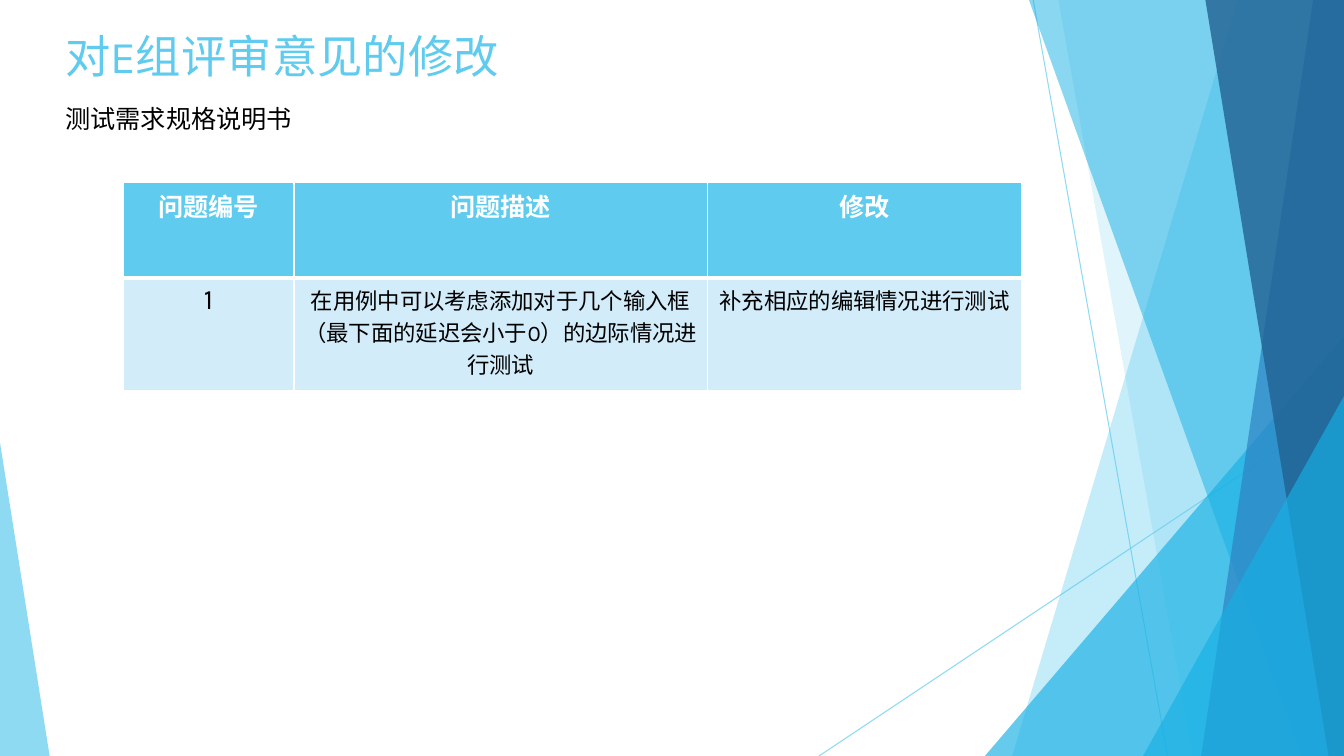
from collections import namedtuple

from lxml import etree
from pptx import Presentation
from pptx.dml.color import RGBColor
from pptx.enum.shapes import MSO_CONNECTOR, MSO_SHAPE
from pptx.enum.text import MSO_ANCHOR, PP_ALIGN
from pptx.oxml.ns import qn
from pptx.util import Pt

STRAIGHT = MSO_CONNECTOR.STRAIGHT
TRIANGLE = MSO_SHAPE.ISOSCELES_TRIANGLE
MIDDLE, TOP = MSO_ANCHOR.MIDDLE, MSO_ANCHOR.TOP
CENTER = PP_ALIGN.CENTER

FONT = "Karla"
COLORS = {
    "sky": "5FCBEF", "cyan": "17B0E4", "blue": "2E83C3", "navy": "226292",
    "pale": "D2ECF9", "white": "FFFFFF", "black": "000000",
}
Box = namedtuple("Box", "left top width height")


def rgb(name):
    return RGBColor.from_string(COLORS[name])


def set_opacity(shape, percent):
    for color in shape._element.spPr.iter(qn("a:srgbClr")):
        etree.SubElement(color, qn("a:alpha"), val=str(percent * 1000))


def paint(shape, color, opacity):
    shape.shadow.inherit = False
    shape.fill.solid()
    shape.fill.fore_color.rgb = rgb(color)
    shape.line.fill.background()
    set_opacity(shape, opacity)


def set_font(para, size, color, bold=False):
    para.font.name = FONT
    para.font.size = Pt(size)
    para.font.bold = bold
    para.font.color.rgb = rgb(color)


def add_thin_line(page, start, end):
    line = page.shapes.add_connector(STRAIGHT, *map(Pt, start + end))
    line.line.color.rgb = rgb("sky")
    line.line.width = Pt(0.75)
    set_opacity(line, 70)
    etree.SubElement(line._element.spPr, qn("a:effectLst"))


def add_facet(page, box, top_x, bottom_x, color, opacity):
    """Full-height panel with a slanted left side, reaching the right edge."""
    right, bottom = box.left + box.width, box.top + box.height
    outline = page.shapes.build_freeform(
        Pt(box.left + top_x), Pt(box.top), scale=1.0)
    outline.add_line_segments([
        (Pt(right), Pt(box.top)), (Pt(right), Pt(bottom)),
        (Pt(box.left + bottom_x), Pt(bottom))])
    paint(outline.convert_to_shape(), color, opacity)


def add_corner(page, box, width, height, apex, color, opacity):
    """Right triangle in a bottom corner; apex 0 is left, 1 is right."""
    left = box.left + apex * (box.width - width)
    top = box.top + box.height - height
    corner = page.shapes.add_shape(
        TRIANGLE, Pt(left), Pt(top), Pt(width), Pt(height))
    corner.adjustments[0] = apex
    paint(corner, color, opacity)


def add_backdrop(page, box):
    right, bottom = box.left + box.width, box.top + box.height
    add_thin_line(page, (box.left + 738, box.top), (box.left + 834, bottom))
    add_thin_line(page, (right, box.top + 290), (box.left + 585, bottom))
    # Back to front: the corners lie between the facets
    add_facet(page, box, 884, 723, "sky", 36)
    add_facet(page, box, 756, 852, "sky", 20)
    add_corner(page, box, 256.5, 300, 1, "cyan", 66)
    add_facet(page, box, 735, 929.5, "cyan", 50)
    add_facet(page, box, 938, 858, "blue", 70)
    add_facet(page, box, 861, 949, "navy", 80)
    add_corner(page, box, 143.5, 257, 1, "cyan", 66)
    add_corner(page, box, 35.5, 224, 0, "sky", 70)


def add_text(page, box, text, size, color, anchor):
    frame = page.shapes.add_textbox(*map(Pt, box)).text_frame
    frame.word_wrap = True
    frame.vertical_anchor = anchor
    para = frame.paragraphs[0]
    para.text = text
    set_font(para, size, color)


def add_borders(cell, top, bottom):
    properties = cell._tc.get_or_add_tcPr()
    for side, width in zip("LRTB", (1, 1, top, bottom)):
        border = etree.SubElement(
            properties, qn(f"a:ln{side}"), w=str(Pt(width)))
        fill = etree.SubElement(border, qn("a:solidFill"))
        etree.SubElement(fill, qn("a:srgbClr"), val=COLORS["white"])


def add_review_table(page, box):
    rows = [
        ("问题编号", "问题描述", "修改"),
        ("1", "在用例中可以考虑添加对于几个输入框（最下面的延迟会小于0）的边际情况进行测试",
         "补充相应的编辑情况进行测试"),
    ]
    column_shares, row_shares = (0.19, 0.46, 0.35), (0.46, 0.54)
    table = page.shapes.add_table(2, 3, *map(Pt, box)).table
    for column, share in zip(table.columns, column_shares):
        column.width = Pt(box.width * share)
    for row, share in zip(table.rows, row_shares):
        row.height = Pt(box.height * share)

    for row_index, texts in enumerate(rows):
        header = row_index == 0
        for column_index, text in enumerate(texts):
            cell = table.cell(row_index, column_index)
            add_borders(cell, *((1, 3) if header else (3, 1)))
            cell.fill.solid()
            cell.fill.fore_color.rgb = rgb("sky" if header else "pale")
            para = cell.text_frame.paragraphs[0]
            para.text = text
            para.alignment = CENTER
            if header:
                set_font(para, 18, "white", bold=True)
            else:
                set_font(para, 20 if column_index == 0 else 16, "black")


def build_review_slide(deck, box):
    page = deck.slides.add_slide(deck.slide_layouts[6])
    add_backdrop(page, box)
    # Title and document name share a left edge
    left, top = box.left + 39.5, box.top
    add_text(page, Box(left, top + 22.5, 404, 34),
             "对E组评审意见的修改", 32.4, "sky", MIDDLE)
    add_text(page, Box(left, top + 70.5, 240, 29.5),
             "测试需求规格说明书", 18, "black", TOP)
    add_review_table(page, Box(box.left + 88, top + 130.5, 642, 148.5))


deck = Presentation()
deck.slide_width, deck.slide_height = Pt(960), Pt(540)
build_review_slide(deck, Box(0, 0, 960, 540))
deck.save("out.pptx")
